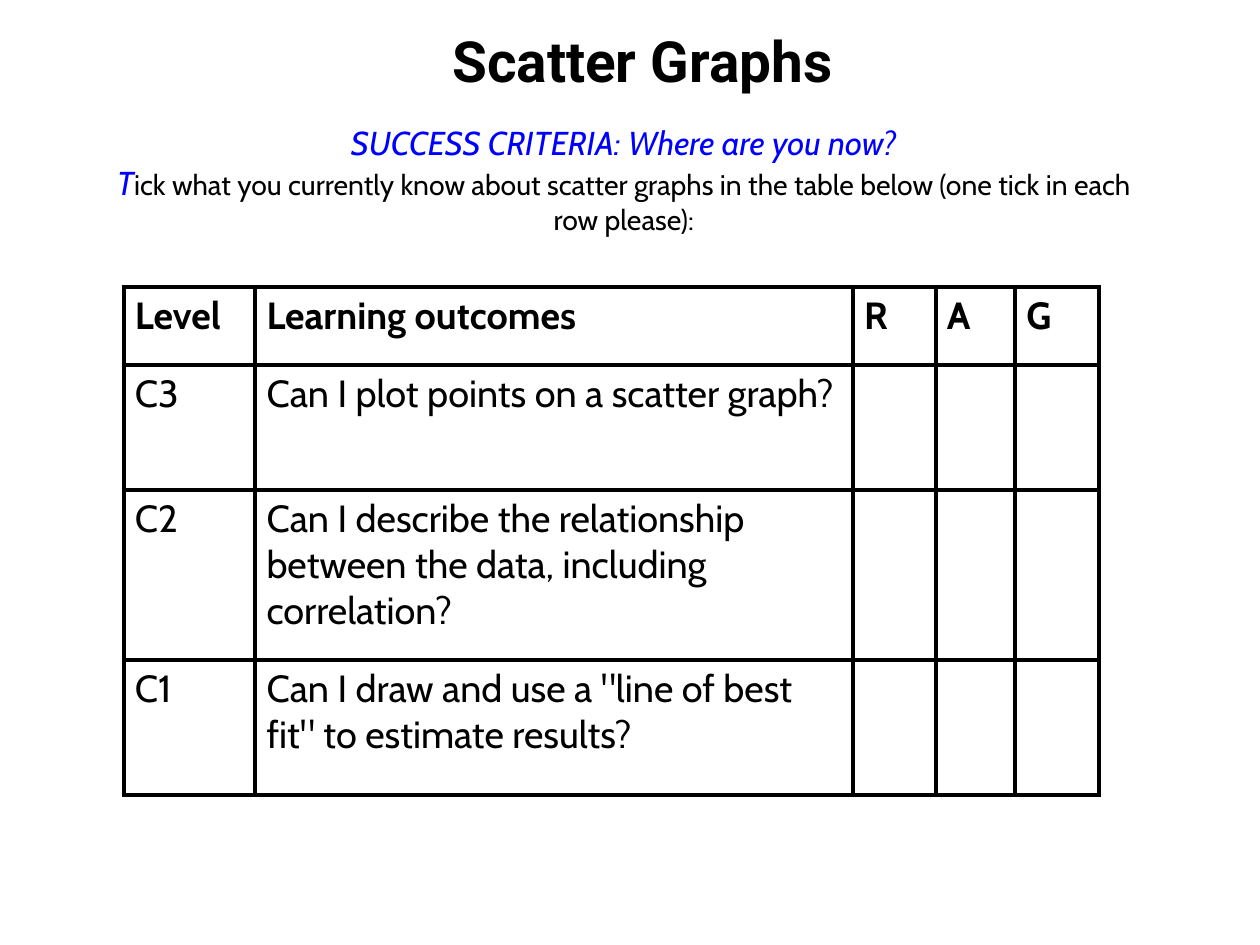
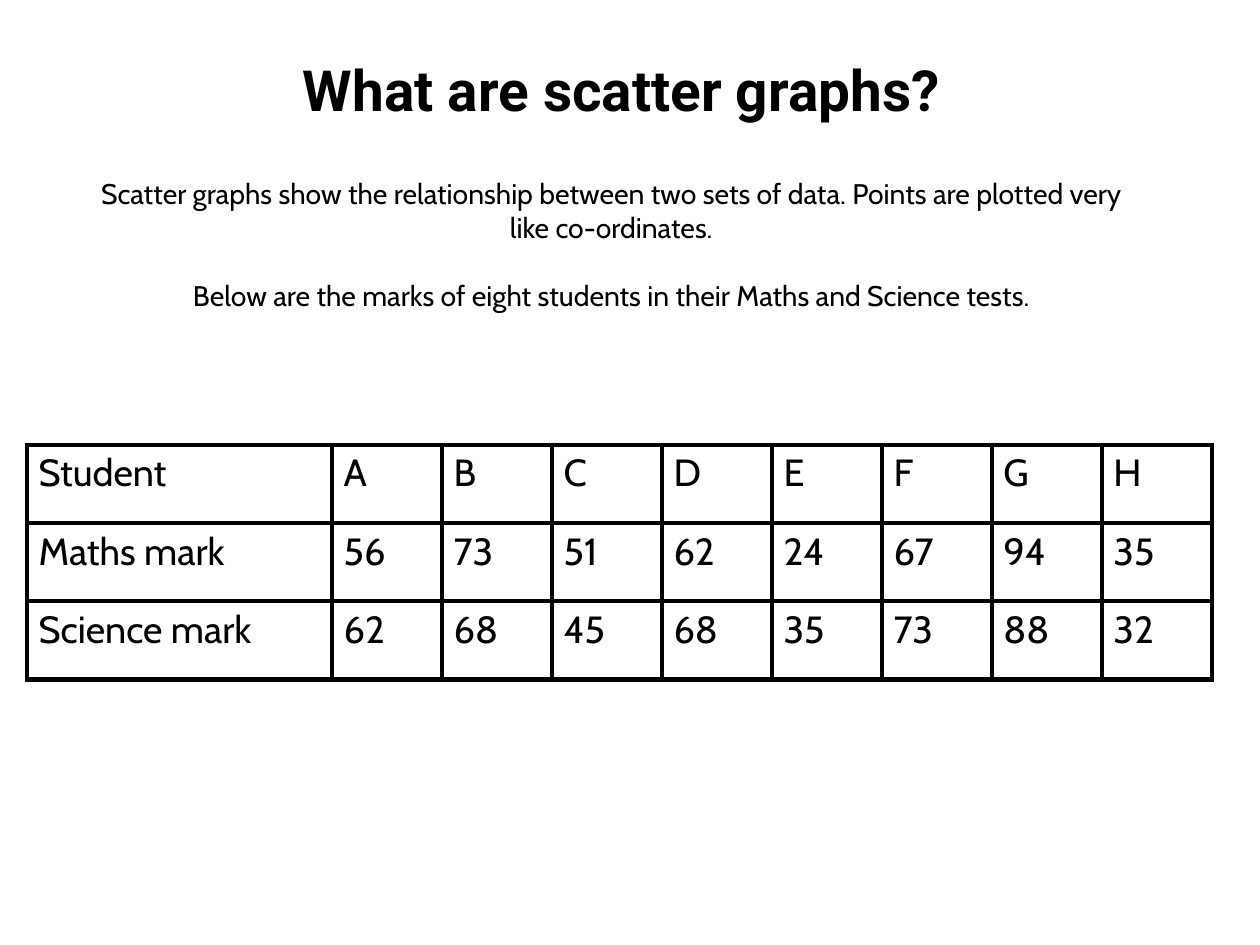
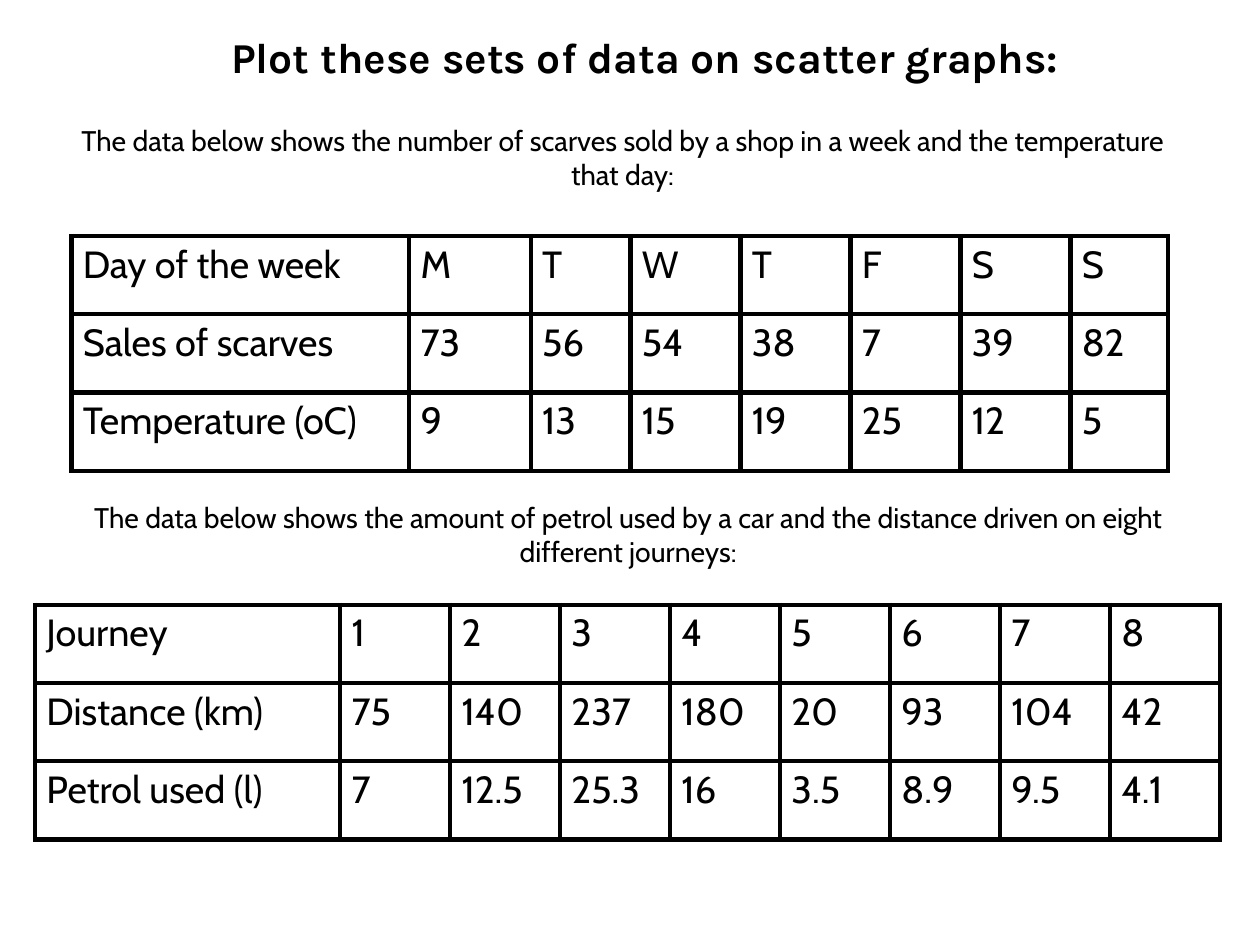
from lxml import etree
from pptx import Presentation
from pptx.dml.color import RGBColor
from pptx.enum import text
from pptx.oxml import ns
from pptx.util import Inches, Pt

BLACK = RGBColor(0x00, 0x00, 0x00)
WHITE = RGBColor(0xFF, 0xFF, 0xFF)
BLUE = RGBColor(0x00, 0x00, 0xFF)
BODY_FONT = "Cabin"
BODY_SIZE = 18
CELL_SIZE = 24
BORDER_WIDTH = 3
ROW_HEIGHT = 0.69
MARK_COLS = [2.69] + [0.97] * 8


def add_run(p, words, size=BODY_SIZE, font=BODY_FONT, color=BLACK, bold=False, italic=False):
    r = p.add_run()
    r.text = words
    r.font.size = Pt(size)
    r.font.name = font
    r.font.color.rgb = color
    r.font.bold = bold
    r.font.italic = italic


def add_text(s, box, paragraphs, gap=0):
    """Centred text; each paragraph is a list of (words, run format) pairs."""
    sp = s.shapes.add_textbox(*map(Inches, box))
    tf = sp.text_frame
    tf.word_wrap = True
    tf.auto_size = text.MSO_AUTO_SIZE.SHAPE_TO_FIT_TEXT
    for i, runs in enumerate(paragraphs):
        p = tf.add_paragraph() if i else tf.paragraphs[0]
        p.alignment = text.PP_ALIGN.CENTER
        if i and gap:
            p.space_before = Pt(gap)
        for words, style in runs:
            add_run(p, words, **style)


def add_title(s, box, words, size=36, font="Roboto"):
    add_text(s, box, [[(words, dict(size=size, font=font, bold=True))]])


def add_body(s, box, *paragraphs, gap=0):
    add_text(s, box, [[(words, {})] for words in paragraphs], gap)


def set_borders(cell):
    tc_pr = cell._tc.get_or_add_tcPr()
    for side in ("a:lnL", "a:lnR", "a:lnT", "a:lnB"):
        ln = etree.SubElement(tc_pr, ns.qn(side), w=str(Pt(BORDER_WIDTH)))
        fill = etree.SubElement(ln, ns.qn("a:solidFill"))
        etree.SubElement(fill, ns.qn("a:srgbClr"), val=str(BLACK))


def add_grid(s, left, top, cols, rows, heights=None, bold_header=False):
    heights = heights or [ROW_HEIGHT] * len(rows)
    frame = s.shapes.add_table(len(rows), len(cols), Inches(left), Inches(top),
                               Inches(sum(cols)), Inches(sum(heights)))
    table = frame.table
    table.first_row = table.horz_banding = False
    for col, width in zip(table.columns, cols):
        col.width = Inches(width)
    for i, (row, height) in enumerate(zip(rows, heights)):
        table.rows[i].height = Inches(height)
        for j, value in enumerate(row):
            cell = table.cell(i, j)
            set_borders(cell)
            cell.fill.solid()
            cell.fill.fore_color.rgb = WHITE
            if value != "":
                add_run(cell.text_frame.paragraphs[0], str(value), CELL_SIZE,
                        bold=bold_header and i == 0)


def build_criteria(s):
    add_title(s, (2.82, 0.18, 5.69, 0.71), "Scatter Graphs")
    lead = dict(size=21, color=BLUE, italic=True)
    add_text(s, (0.75, 1.03, 9.5, 1.11), [
        [("SUCCESS CRITERIA: Where are you now?", lead)],
        [("T", lead),
         ("ick what you currently know about scatter graphs in the table below "
          "(one tick in each row please):", {})],
    ])
    blanks = [""] * 3
    add_grid(s, 1.09, 2.53, [1.16, 5.27, 0.73, 0.7, 0.74], [
        ["Level", "Learning outcomes", "R", "A", "G"],
        ["C3", "Can I plot points on a scatter graph?", *blanks],
        ["C2", "Can I describe the relationship between the data, including correlation?", *blanks],
        ["C1", 'Can I draw and use a "line of best fit" to estimate results?', *blanks],
    ], heights=[ROW_HEIGHT, 1.1, 1.5, 1.19], bold_header=True)


def build_definition(s):
    add_title(s, (1.38, 0.43, 8.2, 0.71), "What are scatter graphs?")
    add_body(s, (0.67, 1.5, 9.44, 1.31),
             "Scatter graphs show the relationship between two sets of data. "
             "Points are plotted very like co-ordinates.",
             "Below are the marks of eight students in their Maths and Science tests.",
             gap=21.6)
    add_grid(s, 0.24, 3.92, MARK_COLS, [
        ["Student", *"ABCDEFGH"],
        ["Maths mark", 56, 73, 51, 62, 24, 67, 94, 35],
        ["Science mark", 62, 68, 45, 68, 35, 73, 88, 32],
    ])


def build_exercises(s):
    add_title(s, (0.38, 0.22, 10.61, 0.56), "Plot these sets of data on scatter graphs:",
              size=27, font="Karla")
    # Scarf sales
    add_body(s, (0.39, 1.04, 10.2, 0.71),
             "The data below shows the number of scarves sold by a shop in a week "
             "and the temperature that day:")
    add_grid(s, 0.63, 2.08, [2.98, 1.07, 0.88, 0.97, 0.97, 0.97, 0.97, 0.86], [
        ["Day of the week", *"MTWTFSS"],
        ["Sales of scarves", 73, 56, 54, 38, 7, 39, 82],
        ["Temperature (oC)", 9, 13, 15, 19, 25, 12, 5],
    ])
    # Petrol use
    add_body(s, (0.44, 4.36, 10.2, 0.71),
             "The data below shows the amount of petrol used by a car "
             "and the distance driven on eight different journeys:")
    add_grid(s, 0.31, 5.33, MARK_COLS, [
        ["Journey", *range(1, 9)],
        ["Distance (km)", 75, 140, 237, 180, 20, 93, 104, 42],
        ["Petrol used (l)", 7, 12.5, 25.3, 16, 3.5, 8.9, 9.5, 4.1],
    ])


def main():
    prs = Presentation()
    prs.slide_width, prs.slide_height = Inches(11.11), Inches(8.33)
    blank = prs.slide_layouts[6]
    for build in (build_criteria, build_definition, build_exercises):
        build(prs.slides.add_slide(blank))
    prs.save("out.pptx")


if __name__ == "__main__":
    main()
